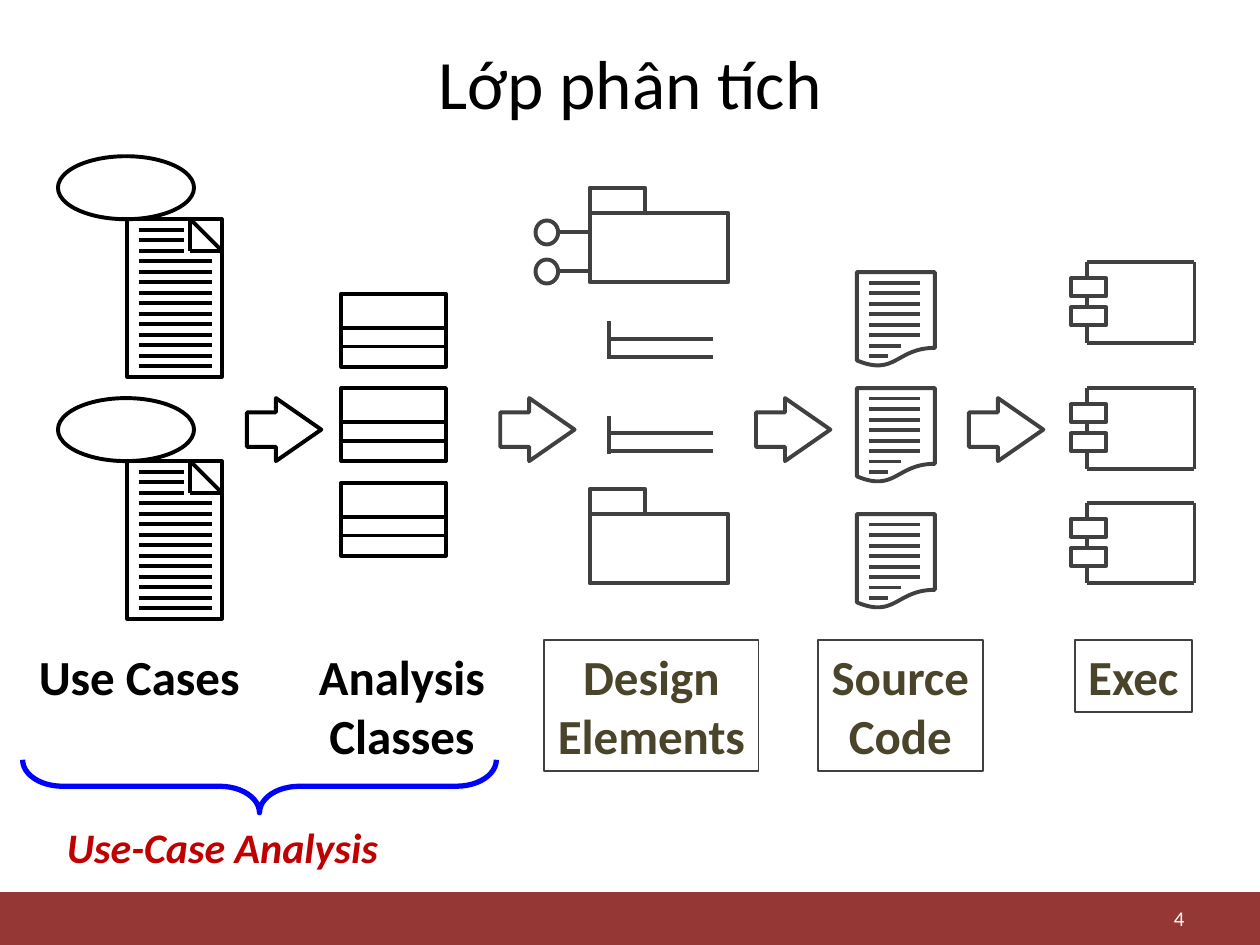
from dataclasses import dataclass

from lxml import etree
from pptx import Presentation
from pptx.dml.color import RGBColor
from pptx.enum.shapes import MSO_CONNECTOR, MSO_SHAPE
from pptx.enum.text import MSO_ANCHOR, MSO_AUTO_SIZE, PP_ALIGN
from pptx.oxml.ns import qn
from pptx.util import Inches, Pt

RECT = MSO_SHAPE.RECTANGLE
OVAL = MSO_SHAPE.OVAL
ARROW = MSO_SHAPE.RIGHT_ARROW
BRACE = MSO_SHAPE.LEFT_BRACE
DOCUMENT = MSO_SHAPE.FLOWCHART_DOCUMENT
STRAIGHT = MSO_CONNECTOR.STRAIGHT
LEFT, CENTER, RIGHT = PP_ALIGN.LEFT, PP_ALIGN.CENTER, PP_ALIGN.RIGHT
TOP, MIDDLE = MSO_ANCHOR.TOP, MSO_ANCHOR.MIDDLE
FIT_SHAPE, FIT_NONE = MSO_AUTO_SIZE.SHAPE_TO_FIT_TEXT, MSO_AUTO_SIZE.NONE


@dataclass(frozen=True)
class Theme:
    font: str = "Calibri"
    black: str = "000000"
    white: str = "FFFFFF"
    gray: str = "404040"
    olive: str = "4A452A"
    blue: str = "0000FF"
    red: str = "C00000"
    bar: str = "953735"
    title_size: float = 39.6
    label_size: float = 28
    caption_size: float = 24
    number_size: float = 12
    stroke: float = 2.25
    brace_stroke: float = 3
    frame_stroke: float = 1


THEME = Theme()
TEXT_LINE_GAP = 1 / 12


def write_text(shape, content, *, size, color, bold=False, italic=False,
               align=CENTER, anchor=TOP, wrap=True, fit=FIT_NONE, margins=(0.1, 0.05)):
    frame = shape.text_frame
    frame.text = content
    frame.word_wrap = wrap
    frame.auto_size = fit
    frame.vertical_anchor = anchor
    frame.margin_left = frame.margin_right = Inches(margins[0])
    frame.margin_top = frame.margin_bottom = Inches(margins[1])
    for paragraph in frame.paragraphs:
        paragraph.alignment = align
        for run in paragraph.runs:
            run.font.name = THEME.font
            run.font.size = Pt(size)
            run.font.bold = bold
            run.font.italic = italic
            run.font.color.rgb = RGBColor.from_string(color)


def draw_shape(shapes, kind, left, top, width, height, color, stroke=THEME.stroke):
    shape = shapes.add_shape(kind, Inches(left), Inches(top), Inches(width), Inches(height))
    shape.shadow.inherit = False
    shape.fill.background()
    shape.line.color.rgb = RGBColor.from_string(color)
    shape.line.width = Pt(stroke)
    return shape


def draw_line(shapes, x1, y1, x2, y2, color):
    line = shapes.add_connector(STRAIGHT, Inches(x1), Inches(y1), Inches(x2), Inches(y2))
    line.line.color.rgb = RGBColor.from_string(color)
    line.line.width = Pt(THEME.stroke)
    etree.SubElement(line._element.spPr, qn("a:effectLst"))


def draw_text_lines(shapes, left, top, widths, color):
    for row, width in enumerate(widths, start=1):
        y = top + row * TEXT_LINE_GAP
        draw_line(shapes, left, y, left + width, y, color)


def add_use_case(slide, left, top):
    shapes = slide.shapes.add_group_shape().shapes
    color = THEME.black
    page_left, page_top, page_right = left + 0.55, top + 0.5, left + 1.3
    fold_left, fold_bottom = page_right - 0.25, page_top + 0.25
    draw_shape(shapes, OVAL, left, top, 1.08, 0.5, color)
    draw_shape(shapes, RECT, page_left, page_top, 0.75, 1.25, color)
    draw_line(shapes, fold_left, page_top, page_right, fold_bottom, color)
    draw_line(shapes, fold_left, page_top, fold_left, fold_bottom, color)
    draw_line(shapes, page_right, fold_bottom, fold_left, fold_bottom, color)
    draw_text_lines(shapes, page_left + 0.09, page_top, [0.36] * 3 + [0.58] * 11, color)


def add_analysis_class(slide, left, top):
    shapes = slide.shapes.add_group_shape().shapes
    draw_shape(shapes, RECT, left, top, 0.83, 0.58, THEME.black)
    for offset in (0.27, 0.42):
        draw_line(shapes, left, top + offset, left + 0.83, top + offset, THEME.black)


def add_design_class(slide, left, top):
    shapes = slide.shapes.add_group_shape().shapes
    draw_line(shapes, left, top, left, top + 0.3, THEME.gray)
    for offset in (0.14, 0.28):
        draw_line(shapes, left, top + offset, left + 0.83, top + offset, THEME.gray)


def add_package(slide, left, top, interface_offsets=()):
    shapes = slide.shapes.add_group_shape().shapes
    draw_shape(shapes, RECT, left, top + 0.2, 1.1, 0.55, THEME.gray)
    draw_shape(shapes, RECT, left, top, 0.44, 0.2, THEME.gray)
    for offset in interface_offsets:
        y = top + offset
        draw_shape(shapes, OVAL, left - 0.43, y - 0.09, 0.18, 0.19, THEME.gray)
        draw_line(shapes, left - 0.25, y, left, y, THEME.gray)


def add_source_file(slide, left, top):
    shapes = slide.shapes.add_group_shape().shapes
    draw_shape(shapes, DOCUMENT, left, top, 0.62, 0.75, THEME.gray)
    draw_text_lines(shapes, left + 0.1, top, [0.4] * 6 + [0.25, 0.15], THEME.gray)


def add_component(slide, left, top):
    shapes = slide.shapes.add_group_shape().shapes
    body_left, right, bottom = left + 0.13, left + 0.98, top + 0.64
    draw_line(shapes, right, top, right, bottom, THEME.gray)
    for y in (top, bottom):
        draw_line(shapes, right, y, body_left, y, THEME.gray)
    for start, end in ((0, 0.13), (0.27, 0.36), (0.5, 0.64)):
        draw_line(shapes, body_left, top + start, body_left, top + end, THEME.gray)
    for offset in (0.13, 0.36):
        draw_shape(shapes, RECT, left, top + offset, 0.28, 0.14, THEME.gray)


def add_arrow(slide, left, top, color):
    arrow = draw_shape(slide.shapes, ARROW, left, top, 0.59, 0.5, color)
    arrow.adjustments[0], arrow.adjustments[1] = 0.548, 0.72


def add_label(slide, content, left, top, width, height, framed):
    if framed:
        label = draw_shape(slide.shapes, RECT, left, top, width, height,
                           THEME.gray, THEME.frame_stroke)
    else:
        label = slide.shapes.add_textbox(Inches(left), Inches(top), Inches(width), Inches(height))
    write_text(label, content, size=THEME.label_size, bold=True, wrap=False, fit=FIT_SHAPE,
               color=THEME.olive if framed else THEME.black)


def add_analysis_phase(slide, left, top, width):
    depth = 0.42
    brace = draw_shape(slide.shapes, BRACE, left + (width - depth) / 2,
                       top + (depth - width) / 2, depth, width, THEME.blue, THEME.brace_stroke)
    brace.rotation = 270
    brace.adjustments[0], brace.adjustments[1] = 0.753, 0.5
    caption = slide.shapes.add_textbox(Inches(left + 0.23), Inches(top + 0.43),
                                       Inches(3.25), Inches(0.52))
    write_text(caption, "Use-Case Analysis", size=THEME.caption_size, color=THEME.red, bold=True,
               italic=True, align=LEFT, fit=FIT_SHAPE, margins=(0.12, 0.06))


def add_title(slide, content, left, top, width, height):
    title = slide.shapes.title
    title.left, title.top = Inches(left), Inches(top)
    title.width, title.height = Inches(width), Inches(height)
    write_text(title, content, size=THEME.title_size, color=THEME.black, anchor=MIDDLE)


def add_footer(slide, left, top, width, height):
    bar = draw_shape(slide.shapes, RECT, left, top, width, height, THEME.bar)
    bar.fill.solid()
    bar.fill.fore_color.rgb = RGBColor.from_string(THEME.bar)
    bar.line.fill.background()
    number = slide.shapes.add_textbox(Inches(left + width - 2.83), Inches(top + 0.07),
                                      Inches(2.33), Inches(0.27))
    write_text(number, "4", size=THEME.number_size, color=THEME.white, align=RIGHT, anchor=MIDDLE)


def main():
    deck = Presentation()
    deck.slide_width, deck.slide_height = Inches(10), Inches(7.5)
    slide = deck.slides.add_slide(deck.slide_layouts[5])
    add_footer(slide, 0, 7.08, 10, 0.42)
    add_title(slide, "Lớp phân tích", 0.5, 0.3, 9, 0.7)

    columns = (
        (add_use_case, 0.46, (1.24, 3.16)),
        (add_analysis_class, 2.71, (2.33, 3.08, 3.83)),
        (add_design_class, 4.83, (2.55, 3.3)),
        (add_source_file, 6.8, (2.16, 3.08, 4.08)),
        (add_component, 8.5, (2.08, 3.08, 3.99)),
    )
    for add_icon, left, tops in columns:
        for top in tops:
            add_icon(slide, left, top)
    add_package(slide, 4.68, 1.49, interface_offsets=(0.35, 0.66))
    add_package(slide, 4.68, 3.88)

    for left, color in ((1.96, THEME.black), (3.97, THEME.gray),
                        (6, THEME.gray), (7.69, THEME.gray)):
        add_arrow(slide, left, 3.16, color)

    for content, left, width, height, framed in (
        ("Use Cases", 0.02, 2.17, 0.57, False),
        ("Analysis\vClasses", 2.29, 1.8, 1.03, False),
        ("Design\vElements", 4.32, 1.7, 1.04, True),
        ("Source\nCode", 6.49, 1.31, 1.04, True),
        ("Exec", 8.53, 0.93, 0.57, True),
    ):
        add_label(slide, content, left, 5.08, width, height, framed)
    add_analysis_phase(slide, 0.18, 6.03, 3.76)
    deck.save("out.pptx")


if __name__ == "__main__":
    main()
